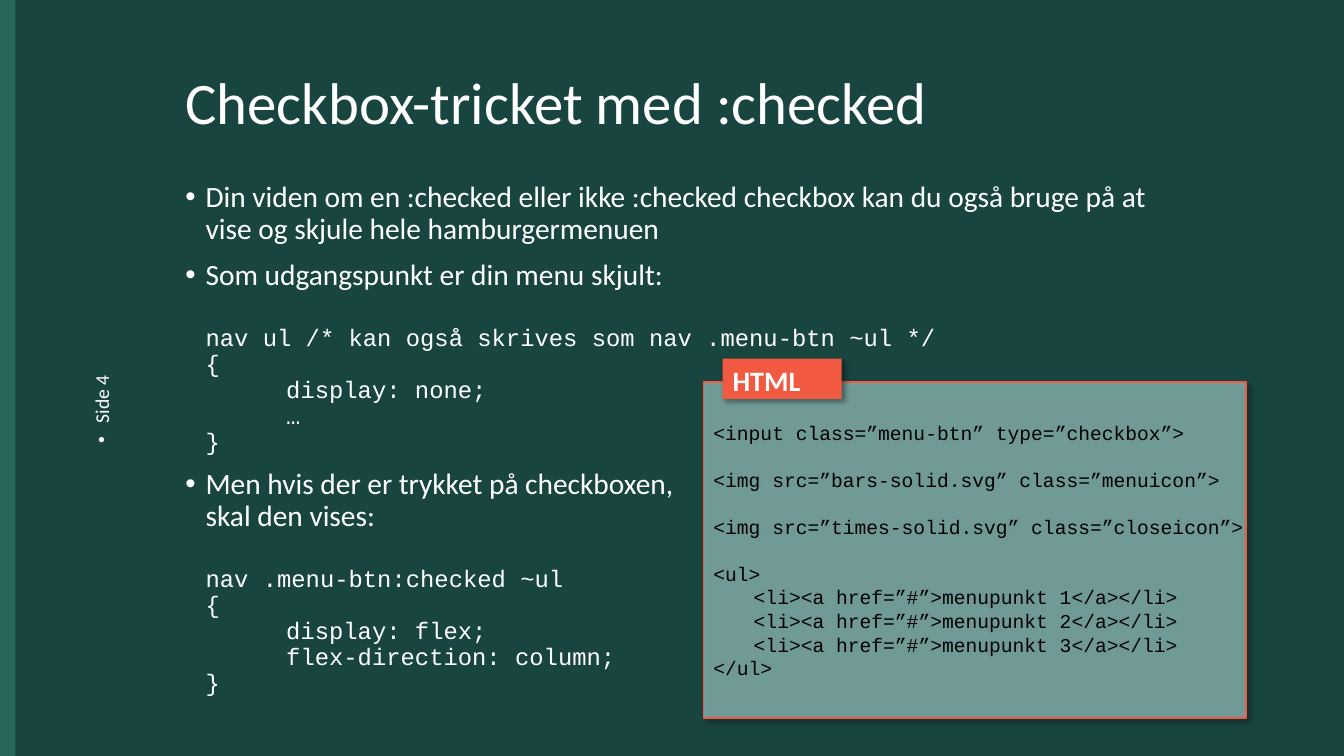
from lxml.etree import SubElement as Sub
from pptx import Presentation
from pptx.dml.color import RGBColor
from pptx.enum.shapes import MSO_SHAPE as Shape
from pptx.enum.text import MSO_ANCHOR as Anchor, PP_ALIGN as Align
from pptx.oxml.ns import qn
from pptx.util import Pt

BODY = dict(size=Pt(21), name="Calibri")
CODE = dict(size=Pt(17), name="Courier New")
HTML = dict(size=Pt(14), name="Courier New")
WHITE = "FFFFFF"
CORAL = "F15A40"

POINTS = [
    ("Din viden om en :checked eller ikke :checked checkbox kan du også bruge "
     "på at vise og skjule hele hamburgermenuen", []),
    ("Som udgangspunkt er din menu skjult:",
     ["nav ul /* kan også skrives som nav .menu-btn ~ul */", "{",
      "\tdisplay: none;", "\t…", "}"]),
    ("Men hvis der er trykket på checkboxen,\vskal den vises:",
     ["nav .menu-btn:checked ~ul", "{", "\tdisplay: flex;",
      "\tflex-direction: column;", "}"]),
]
BLOCKS = [
    ["<input class=”menu-btn” type=”checkbox”>"],
    ["<img src=”bars-solid.svg” class=”menuicon”>"],
    ["<img src=”times-solid.svg” class=”closeicon”>"],
    ["<ul>"] + [f"\t<li><a href=”#”>menupunkt {n}</a></li>" for n in (1, 2, 3)]
    + ["</ul>"],
]


def color(hue):
    return RGBColor.from_string(hue)


def style(item, form):
    for key, value in form.items():
        setattr(item, key, value)


def write(frame, text, font, hue=WHITE, left=0, hang=0, **form):
    """Add one paragraph; a hang above zero gives it a bullet."""
    para = frame.paragraphs[0]
    if para.runs:
        para = frame.add_paragraph()
    para.text = text
    style(para, dict(form, alignment=Align.LEFT))
    for run in para.runs:
        style(run.font, font)
        run.font.color.rgb = color(hue)
    props = para._p.get_or_add_pPr()
    props.set("marL", str(Pt(left)))
    props.set("indent", str(-Pt(hang)))
    if hang:
        Sub(props, qn("a:buFont"), typeface="Arial")
        Sub(props, qn("a:buChar"), char="•")


def text_box(slide, box, anchor=Anchor.TOP):
    item = slide.shapes.add_textbox(*map(Pt, box))
    style(item.text_frame, dict(
        word_wrap=True, vertical_anchor=anchor, margin_left=0,
        margin_right=0, margin_top=0, margin_bottom=0))
    return item


def block(slide, box, hue, line=None):
    item = slide.shapes.add_shape(Shape.RECTANGLE, *map(Pt, box))
    item.shadow.inherit = False
    item.fill.solid()
    item.fill.fore_color.rgb = color(hue)
    if line:
        item.line.color.rgb = color(line)
        item.line.width = Pt(1)
    else:
        item.line.fill.background()
    return item


def alpha(node, share):
    Sub(node, qn("a:alpha"), val=str(share * 1000))


def shade(item):
    """Cast a soft shadow down to the right."""
    effects = item._element.spPr.find(qn("a:effectLst"))
    outer = Sub(effects, qn("a:outerShdw"), blurRad=str(Pt(4)),
                dist=str(Pt(3)), dir="2700000", algn="tl", rotWithShape="0")
    alpha(Sub(outer, qn("a:srgbClr"), val="000000"), 40)


def backdrop(slide, wide, high):
    block(slide, (0, 0, 11.5, high), "286759")
    block(slide, (11, 0, wide - 11, high), "194541")


def title(slide, box):
    frame = text_box(slide, box, Anchor.BOTTOM).text_frame
    write(frame, "Checkbox-tricket med :checked",
          dict(size=Pt(42), name="Calibri"), line_spacing=0.9)


def body(slide, box):
    frame = text_box(slide, box).text_frame
    for point, code in POINTS:
        write(frame, point, BODY, left=14.4, hang=14.4,
              line_spacing=0.9, space_before=Pt(10))
        for row, line in enumerate(code):
            write(frame, line.lstrip("\t"), CODE,
                  left=72 if line.startswith("\t") else 14.4,
                  line_spacing=Pt(18.6), space_before=Pt(0 if row else 24))


def side(slide, box):
    item = text_box(slide, box, Anchor.MIDDLE)
    item.rotation = 270
    write(item.text_frame, "Side 4", dict(size=Pt(14), name="Calibri"),
          left=14.4, hang=14.4)


def panel(slide, box):
    """Draw the code panel with its label over the top edge."""
    x, y, wide, high = box
    card = block(slide, box, "B3E3DF", CORAL)
    alpha(card._element.spPr.find(qn("a:solidFill"))[0], 59)
    shade(card)
    frame = card.text_frame
    style(frame, dict(word_wrap=False, vertical_anchor=Anchor.MIDDLE))
    for part, lines in enumerate(BLOCKS):
        for row, line in enumerate(lines):
            gap = 16.8 if part and not row else 0
            write(frame, line.lstrip("\t"), HTML, "000000",
                  left=28.8 if line.startswith("\t") else 0,
                  line_spacing=Pt(16.8), space_before=Pt(gap))

    label = block(slide, (x + 13.7, y - 16.8, 85, 28.8), CORAL)
    shade(label)
    style(label.text_frame, dict(word_wrap=False, vertical_anchor=Anchor.TOP))
    write(label.text_frame, "HTML",
          dict(size=Pt(20), name="Calibri", bold=True))


def main():
    deck = Presentation()
    wide, high = 960, 540
    deck.slide_width, deck.slide_height = Pt(wide), Pt(high)
    slide = deck.slides.add_slide(deck.slide_layouts[6])
    backdrop(slide, wide, high)
    title(slide, (132.5, 35.3, 715.7, 62.6))
    body(slide, (132.5, 130.3, 715.7, 374.4))
    side(slide, (28.8, 262, 87, 22.3))
    panel(slide, (502.5, 273, 387.4, 239.8))
    deck.save("out.pptx")


if __name__ == "__main__":
    main()
